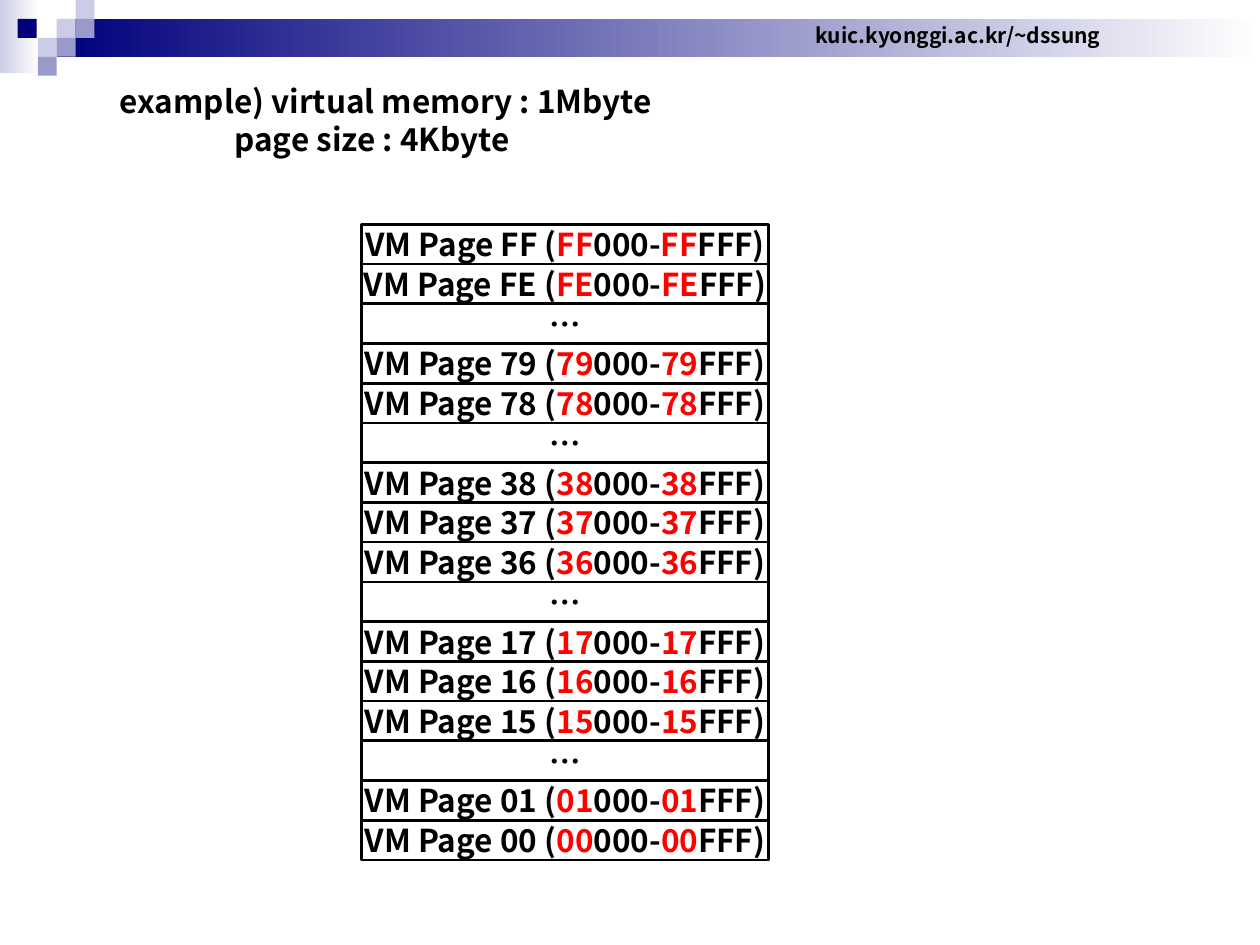
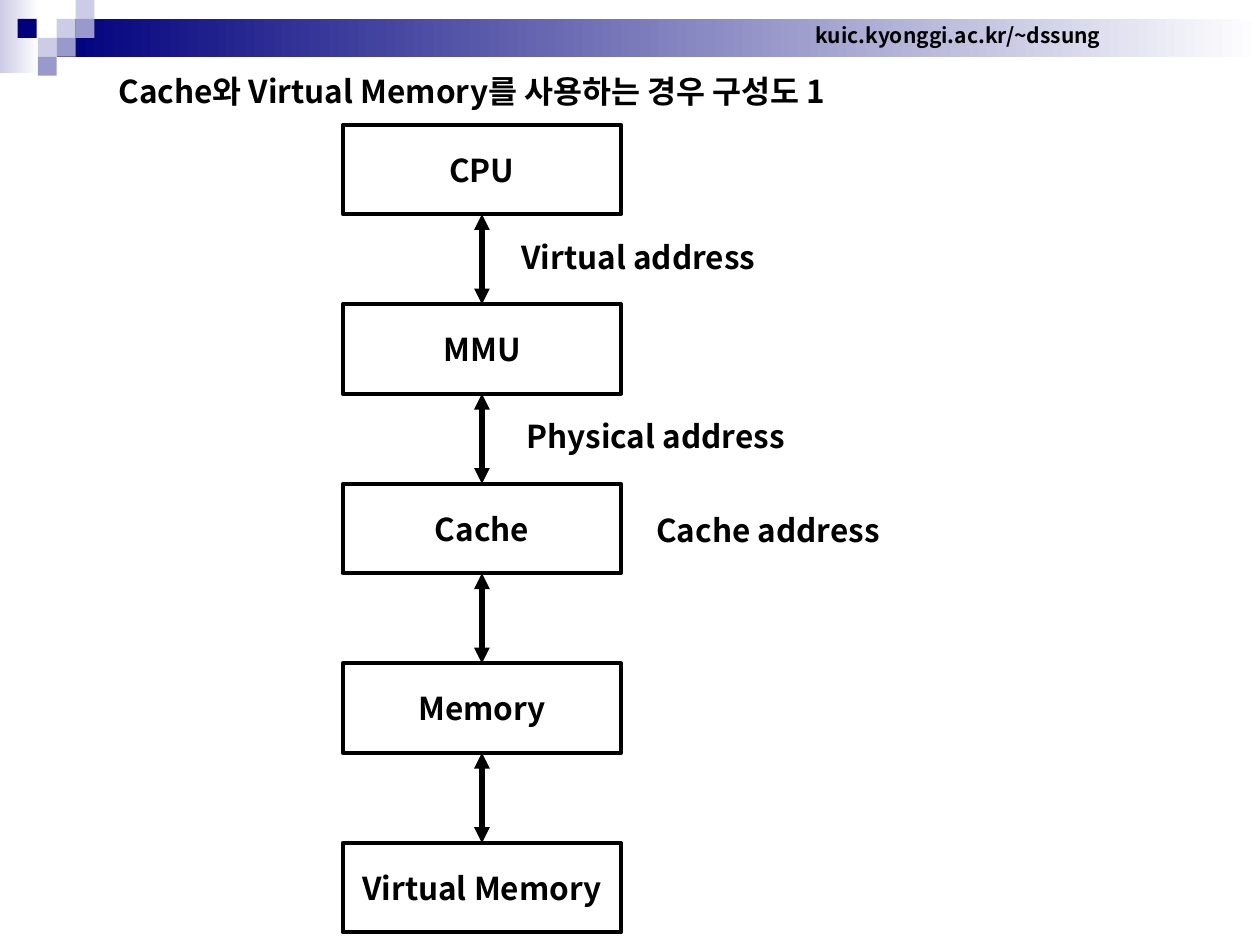
from itertools import pairwise

from pptx import Presentation
from pptx.dml.color import RGBColor
from pptx.enum.shapes import MSO_CONNECTOR, MSO_SHAPE
from pptx.enum.text import MSO_ANCHOR as Anchor, MSO_AUTO_SIZE as AutoSize, PP_ALIGN as Align
from pptx.oxml.ns import qn
from pptx.util import Inches, Pt
from lxml.etree import SubElement

FONT = "Noto Sans CJK KR"
BLACK, WHITE, RED = "000000", "FFFFFF", "FF0000"
NAVY, LILAC, PERIWINKLE = "00007D", "CCCCE6", "9999CC"

MOSAIC_TILES = [
    (0.45, 0.15, LILAC),
    (0.6, 0, LILAC),
    (0.6, 0.15, PERIWINKLE),
    (0.3, 0.3, LILAC),
    (0.14, 0.15, NAVY),
    (0.45, 0.3, PERIWINKLE),
    (0.3, 0.45, PERIWINKLE),
]
VM_PAGES = ["FF", "FE", "…", "79", "78", "…", "38", "37", "36", "…",
            "17", "16", "15", "…", "01", "00"]
MEMORY_LEVELS = ["CPU", "MMU", "Cache", "Memory", "Virtual Memory"]
ADDRESS_LABELS = [
    ("Virtual address", 4.04, 1.84, 2.09),
    ("Physical address", 4.08, 3.26, 2.26),
    ("Cache address", 5.11, 4.01, 1.99),
]


def colour(value):
    return RGBColor.from_string(value)


def format_span(span, size=18, ink=BLACK):
    span.font.size = Pt(size)
    span.font.bold = True
    span.font.name = FONT
    span.font.color.rgb = colour(ink)
    SubElement(span.font._element, qn("a:ea")).set("typeface", FONT)


def format_text(box, size=18, align=Align.LEFT, anchor=Anchor.TOP, wrap=True):
    frame = box.text_frame
    frame.word_wrap = wrap
    frame.auto_size = AutoSize.NONE
    frame.vertical_anchor = anchor
    for para in frame.paragraphs:
        para.alignment = align
        for span in para.runs:
            format_span(span, size)


def add_rectangle(page, left, top, width, height, fill=WHITE, line_width=0):
    box = page.shapes.add_shape(MSO_SHAPE.RECTANGLE, Inches(left), Inches(top),
                                Inches(width), Inches(height))
    box.shadow.inherit = False
    box.fill.solid()
    box.fill.fore_color.rgb = colour(fill)
    if line_width:
        box.line.color.rgb = colour(BLACK)
        box.line.width = Pt(line_width)
    else:
        box.line.fill.background()
    return box


def add_fading_band(page, left, top, width, height, start):
    band = add_rectangle(page, left, top, width, height)
    band.fill.gradient()
    band.fill.gradient_angle = 0
    for stop, shade in zip(band.fill.gradient_stops, (start, WHITE)):
        stop.color.rgb = colour(shade)
    return band


def add_label(page, text, left, top, width, height=0.4, **style):
    label = page.shapes.add_textbox(Inches(left), Inches(top), Inches(width), Inches(height))
    label.text_frame.text = text
    format_text(label, **style)
    return label


def set_title(page, text, left, top, width, height):
    title = page.shapes.title
    title.left, title.top = Inches(left), Inches(top)
    title.width, title.height = Inches(width), Inches(height)
    title.text_frame.text = text
    format_text(title)
    return title


def add_double_arrow(page, upper, lower):
    arrow = page.shapes.add_connector(MSO_CONNECTOR.STRAIGHT, 0, 0, 0, 0)
    arrow.begin_connect(upper, 2)
    arrow.end_connect(lower, 0)
    arrow.line.color.rgb = colour(BLACK)
    arrow.line.width = Pt(3)
    properties = arrow.element.spPr
    for end in ("a:headEnd", "a:tailEnd"):
        SubElement(properties.find(qn("a:ln")), qn(end)).set("type", "triangle")
    SubElement(properties, qn("a:effectLst"))


def decorate_master(deck, page):
    decorations = [
        add_fading_band(page, 0, 0, 0.31, 0.58, LILAC),
        add_fading_band(page, 0.45, 0.15, 9.55, 0.3, NAVY),
    ]
    for left, top, fill in MOSAIC_TILES:
        decorations.append(add_rectangle(page, left, top, 0.15, 0.15, fill))
    decorations.append(add_label(page, "kuic.kyonggi.ac.kr/~dssung", 6.37, 0.13, 2.47, 0.3,
                                 size=12, align=Align.CENTER, anchor=Anchor.MIDDLE, wrap=False))
    for number, shape in enumerate(decorations, start=20):
        shape.element.nvSpPr.cNvPr.set("id", str(number))
        deck.slide_master.shapes.element.append(shape.element)


def add_page_row(page, number, top, height):
    row = add_rectangle(page, 2.87, top, 3.23, height, line_width=1.5)
    para = row.text_frame.paragraphs[0]
    parts = [number] if number == "…" else [f"VM Page {number} (", number, "000-", number, "FFF)"]
    for part in parts:
        para.add_run().text = part
    format_text(row, align=Align.CENTER, anchor=Anchor.MIDDLE, wrap=False)
    for span in para.runs[1::2]:
        span.font.color.rgb = colour(RED)


def build_page_map(page):
    title = set_title(page, "example) virtual memory : 1Mbyte\npage size : 4Kbyte",
                      0.85, 0.6, 4.5, 0.7)
    indent = title.text_frame.paragraphs[1]._p.get_or_add_pPr()
    indent.set("marL", str(Inches(0.91)))
    indent.set("indent", "0")
    first_top, last_top = 1.78, 6.51
    pitch = (last_top - first_top) / (len(VM_PAGES) - 1)
    for index, number in enumerate(VM_PAGES):
        add_page_row(page, number, first_top + index * pitch, pitch)


def build_hierarchy(page):
    set_title(page, "Cache와 Virtual Memory를 사용하는 경우 구성도 1", 0.84, 0.52, 6.1, 0.4)
    first_top, last_top = 0.99, 6.69
    pitch = (last_top - first_top) / (len(MEMORY_LEVELS) - 1)
    boxes = []
    for index, name in enumerate(MEMORY_LEVELS):
        box = add_rectangle(page, 2.72, first_top + index * pitch, 2.21, 0.71, line_width=2.25)
        box.text_frame.text = name
        format_text(box, align=Align.CENTER, anchor=Anchor.MIDDLE, wrap=False)
        boxes.append(box)
    for upper, lower in pairwise(boxes):
        add_double_arrow(page, upper, lower)
    for text, left, top, width in ADDRESS_LABELS:
        add_label(page, text, left, top, width)


def main():
    deck = Presentation()
    deck.slide_width, deck.slide_height = Inches(10), Inches(7.5)
    title_only = deck.slide_layouts[5]
    map_page = deck.slides.add_slide(title_only)
    decorate_master(deck, map_page)
    build_page_map(map_page)
    build_hierarchy(deck.slides.add_slide(title_only))
    deck.save("out.pptx")


if __name__ == "__main__":
    main()
